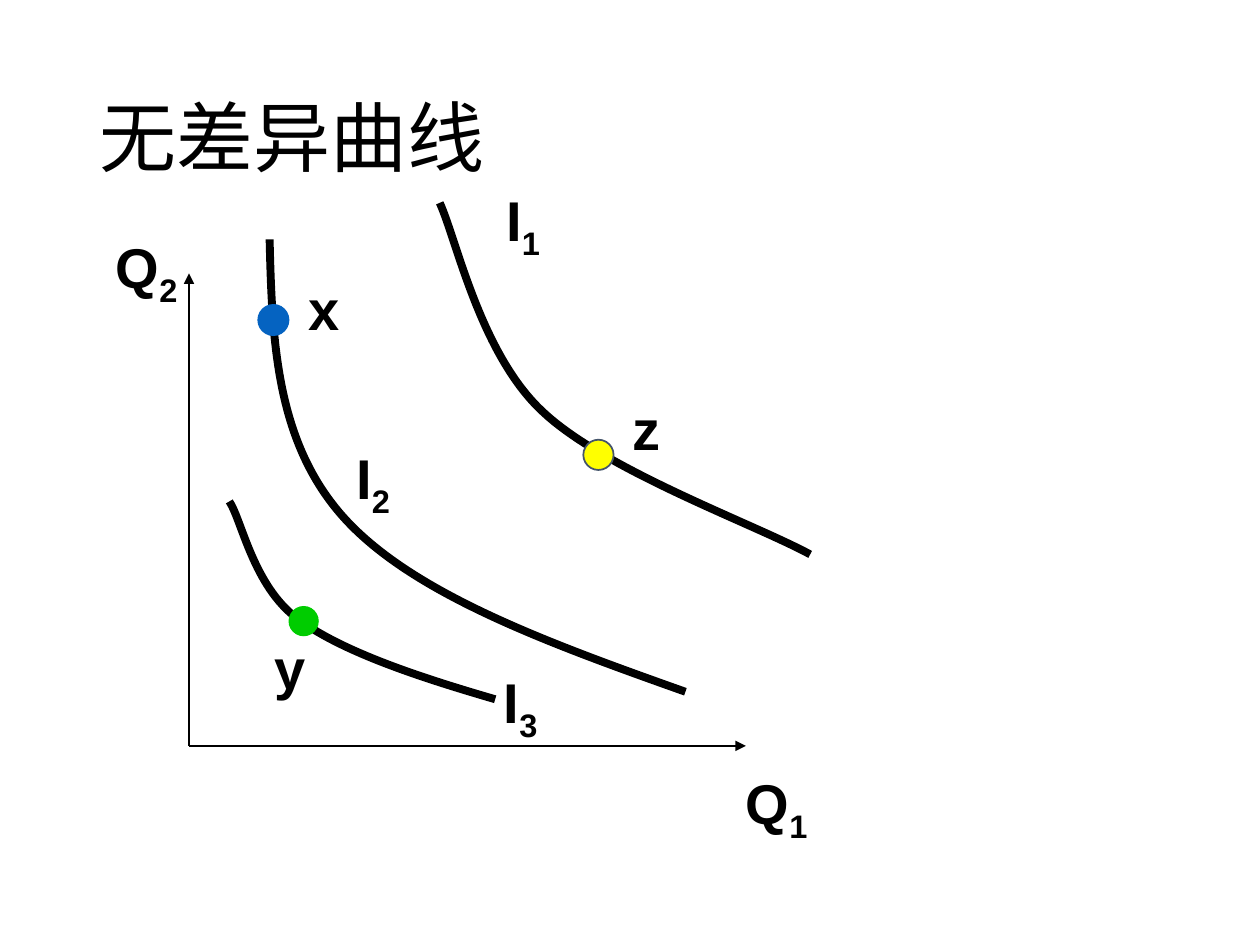
from lxml.etree import SubElement
from pptx import Presentation
from pptx.dml.color import RGBColor
from pptx.enum.shapes import MSO_CONNECTOR as Connector, MSO_SHAPE as Shape
from pptx.enum.text import MSO_ANCHOR as Anchor, MSO_AUTO_SIZE as AutoSize
from pptx.oxml.ns import qn
from pptx.util import Inches, Pt

BLACK = RGBColor(0, 0, 0)
BLUE = RGBColor(0x05, 0x63, 0xC1)
GREEN = RGBColor(0x00, 0xCC, 0x00)
YELLOW = RGBColor(0xFF, 0xFF, 0x00)
SLATE = RGBColor(0x44, 0x54, 0x6A)

TITLE = "无差异曲线"
TITLE_FORMAT = {"name": "Calibri", "size": Pt(44)}
LABEL_FORMAT = {"name": "Arial", "size": Pt(32), "bold": True}

ORIGIN = (1.5, 5.92)
AXIS_TIPS = [(1.5, 2.17), (5.92, 5.92)]
LABELS = [
    ("Q", "2", (0.82, 1.8, 0.72, 0.64), False),
    ("Q", "1", (5.82, 6.05, 0.72, 0.64), False),
    ("x", "", (2.35, 2.13, 0.45, 0.63), False),
    ("y", "", (2.08, 4.98, 0.58, 0.63), True),
    ("z", "", (4.92, 3.08, 0.61, 0.63), True),
    ("I", "1", (3.92, 1.42, 0.67, 0.63), True),
    ("I", "2", (2.73, 3.47, 0.49, 0.63), False),
    ("I", "3", (3.9, 5.25, 0.49, 0.63), False),
]
CURVES = [
    [(2.14, 1.9), (2.16, 2.71), (2.19, 3.52), (2.74, 4.12),
     (3.29, 4.72), (4.37, 5.11), (5.44, 5.49)],
    [(1.82, 3.98), (1.92, 4.13), (2.01, 4.65), (2.36, 4.91),
     (2.71, 5.17), (3.31, 5.37), (3.93, 5.55)],
    [(3.49, 1.61), (3.62, 1.89), (3.81, 2.8), (4.3, 3.26),
     (4.79, 3.73), (5.99, 4.16), (6.43, 4.4)],
]
BUNDLE_SIZE = 0.24
BUNDLES = [
    ((2.05, 2.42), BLUE, BLUE),
    ((2.29, 4.81), GREEN, None),
    ((4.63, 3.49), YELLOW, SLATE),
]


def inches(values):
    return [Inches(value) for value in values]


def add_run(paragraph, text, text_format):
    run = paragraph.add_run()
    run.text = text
    run.font.color.rgb = BLACK
    for attribute, value in text_format.items():
        setattr(run.font, attribute, value)
    return run


def add_title(slide):
    frame = slide.shapes.add_textbox(*inches((0.69, 0.4, 8.62, 1.45))).text_frame
    frame.word_wrap = True
    frame.vertical_anchor = Anchor.MIDDLE
    frame.paragraphs[0].line_spacing = 0.9
    add_run(frame.paragraphs[0], TITLE, TITLE_FORMAT)


def add_axis(slide, tip):
    axis = slide.shapes.add_connector(
        Connector.STRAIGHT, *inches(ORIGIN), *inches(tip))
    axis.line.color.rgb = BLACK
    axis.line.width = Pt(1)
    SubElement(axis.line._get_or_add_ln(), qn("a:tailEnd"), type="triangle")
    SubElement(axis._element.spPr, qn("a:effectLst"))


def add_label(slide, letter, subscript, box, wraps):
    frame = slide.shapes.add_textbox(*inches(box)).text_frame
    frame.word_wrap = wraps
    frame.auto_size = AutoSize.SHAPE_TO_FIT_TEXT
    add_run(frame.paragraphs[0], letter, LABEL_FORMAT)
    if subscript:
        run = add_run(frame.paragraphs[0], subscript, LABEL_FORMAT)
        run._r.get_or_add_rPr().set("baseline", "-25000")


def add_curve(slide, points):
    start, *controls = [inches(point) for point in points]
    builder = slide.shapes.build_freeform(*start)
    builder.add_line_segments(controls, close=False)
    curve = builder.convert_to_shape()
    outline = curve._element.find(".//" + qn("a:path"))
    segments = outline.findall(qn("a:lnTo"))
    for first in range(0, len(segments), 3):
        bezier = SubElement(outline, qn("a:cubicBezTo"))
        for segment in segments[first:first + 3]:
            bezier.append(segment[0])
            outline.remove(segment)
    curve.shadow.inherit = False
    curve.fill.background()
    curve.line.color.rgb = BLACK
    curve.line.width = Pt(4.5)


def add_bundle(slide, corner, fill, border):
    bundle = slide.shapes.add_shape(
        Shape.OVAL, *inches((*corner, BUNDLE_SIZE, BUNDLE_SIZE)))
    bundle.shadow.inherit = False
    bundle.fill.solid()
    bundle.fill.fore_color.rgb = fill
    if border is None:
        bundle.line.fill.background()
    else:
        bundle.line.color.rgb = border
        bundle.line.width = Pt(1)


def main():
    deck = Presentation()
    deck.slide_width, deck.slide_height = Inches(10), Inches(7.5)
    slide = deck.slides.add_slide(deck.slide_layouts[6])
    add_title(slide)
    for tip in AXIS_TIPS:
        add_axis(slide, tip)
    for label in LABELS:
        add_label(slide, *label)
    for points in CURVES:
        add_curve(slide, points)
    for bundle in BUNDLES:
        add_bundle(slide, *bundle)
    deck.save("out.pptx")


if __name__ == "__main__":
    main()
